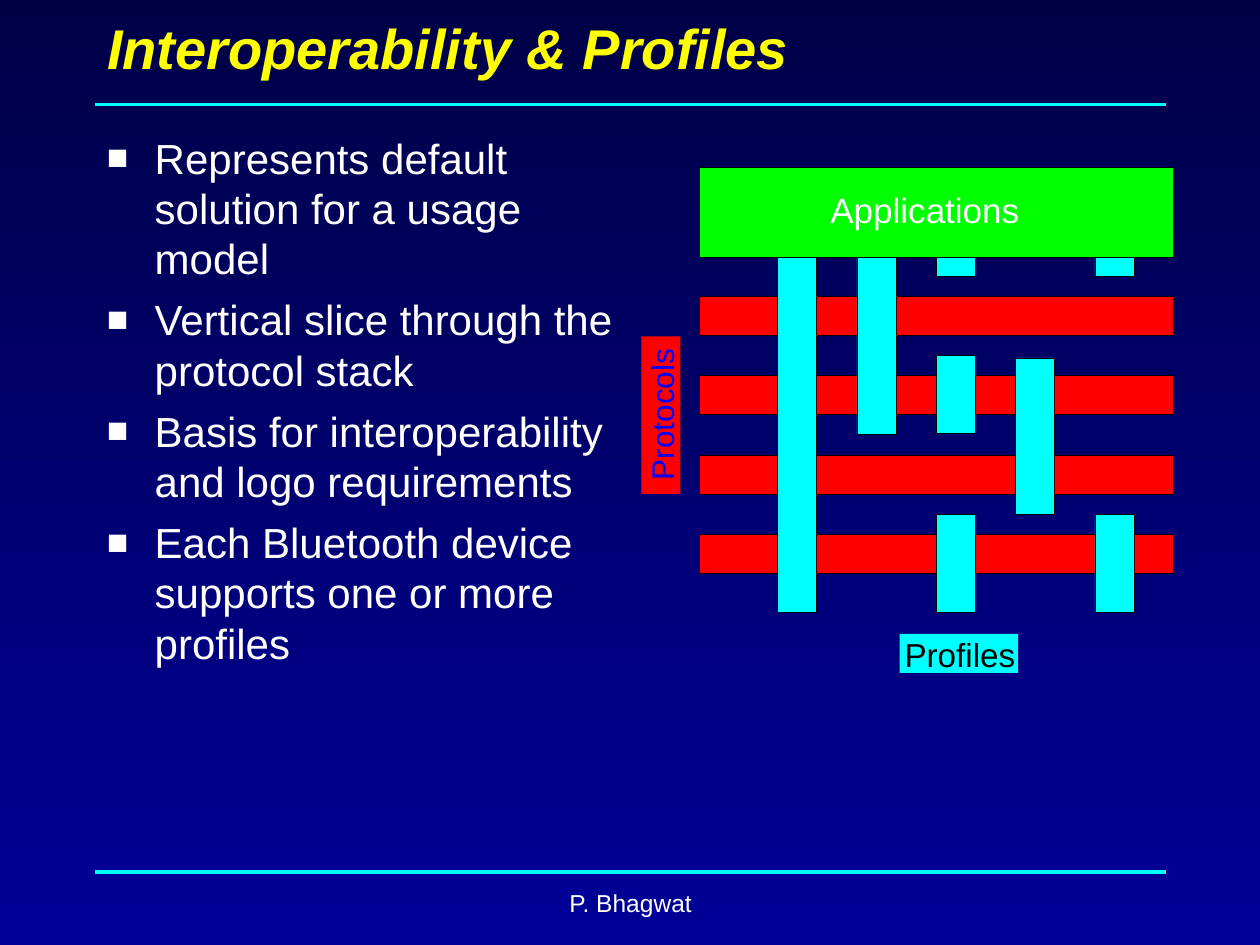
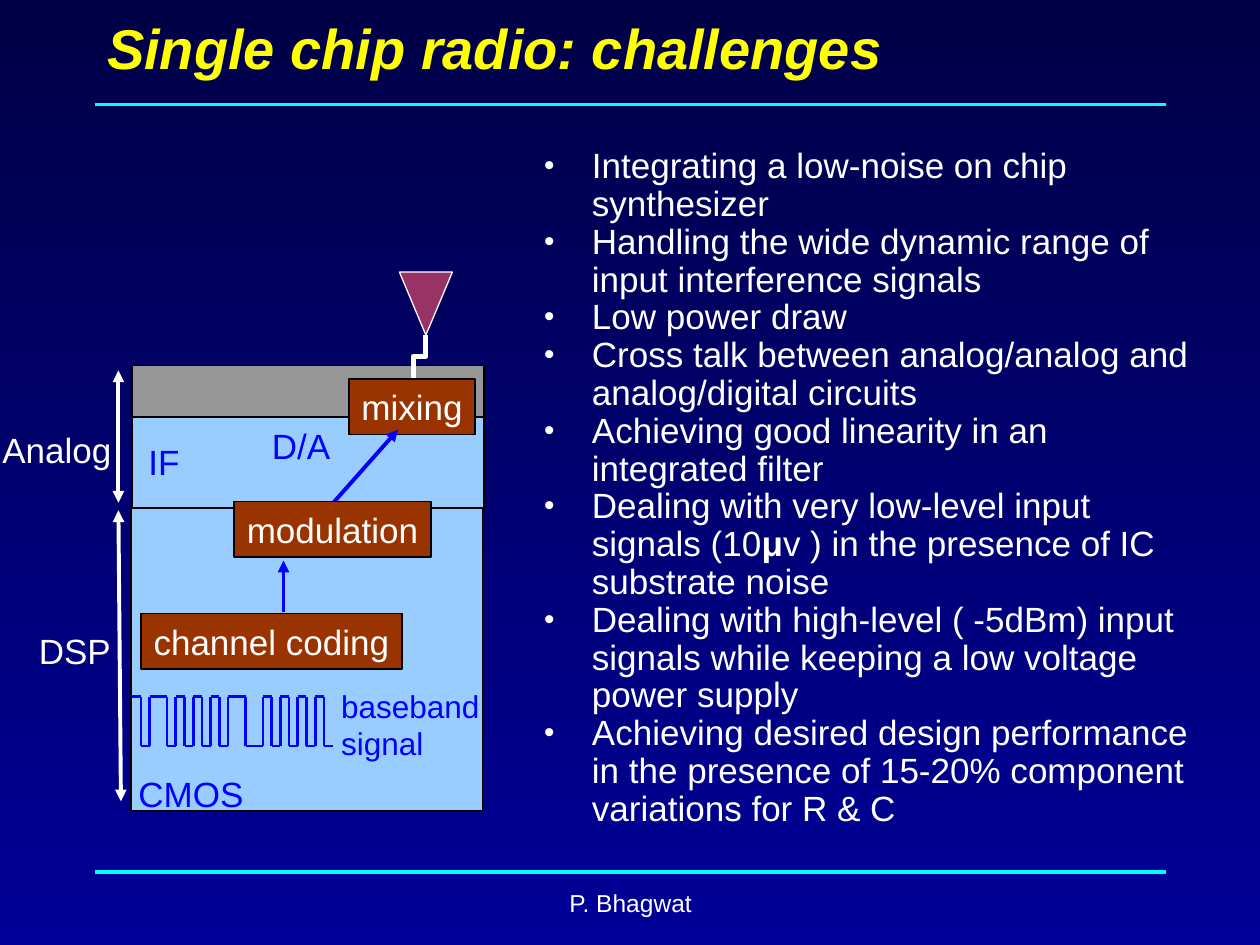
import pptx
import pptx.util
import pptx.dml.color
import pptx.enum.shapes
import pptx.enum.text
from lxml import etree

Inches, Pt = pptx.util.Inches, pptx.util.Pt
RGB = pptx.dml.color.RGBColor
SHAPE = pptx.enum.shapes.MSO_SHAPE
WIRE = pptx.enum.shapes.MSO_CONNECTOR
ALIGN = pptx.enum.text.PP_ALIGN
MIDDLE = pptx.enum.text.MSO_ANCHOR.MIDDLE
FIT = pptx.enum.text.MSO_AUTO_SIZE
NS = "{http://schemas.openxmlformats.org/drawingml/2006/main}"

FONT = "Arial"
NAVY = RGB(0x00, 0x00, 0x46)
ROYAL = RGB(0x00, 0x00, 0x99)
WHITE = RGB(0xFF, 0xFF, 0xFF)
BLACK = RGB(0x00, 0x00, 0x00)
YELLOW = RGB(0xFF, 0xFF, 0x00)
CYAN = RGB(0x00, 0xFF, 0xFF)
RED = RGB(0xFF, 0x00, 0x00)
GREEN = RGB(0x00, 0xFF, 0x00)
BLUE = RGB(0x00, 0x00, 0xFF)
SKY = RGB(0x99, 0xCC, 0xFF)
GRAY = RGB(0x96, 0x96, 0x96)
BROWN = RGB(0x99, 0x33, 0x00)
PLUM = RGB(0x99, 0x33, 0x66)


def box(slide, at, text="", size=20, tone=WHITE, fill=None, edge=None,
        thick=1, kind=SHAPE.RECTANGLE, inset=0.1, wrap=False, align=ALIGN.LEFT):
    """Add a filled shape, or a plain text box when there is no fill."""
    place = [Inches(n) for n in at]
    if fill is None:
        shape = slide.shapes.add_textbox(*place)
    else:
        shape = slide.shapes.add_shape(kind, *place)
        shape.shadow.inherit = False
        shape.fill.solid()
        shape.fill.fore_color.rgb = fill
        if edge is None:
            shape.line.fill.background()
        else:
            shape.line.color.rgb = edge
            shape.line.width = Pt(thick)
    if text:
        frame = shape.text_frame
        frame.word_wrap = wrap
        frame.auto_size = FIT.NONE
        if fill is not None:
            frame.vertical_anchor = MIDDLE
        # Tight labels get spare room on the side away from the text
        frame.margin_left = Inches(0 if align == ALIGN.CENTER else inset)
        frame.margin_right = 0
        frame.margin_top = frame.margin_bottom = Inches(inset / 2)
        for i, words in enumerate(text.split("\n")):
            para = frame.add_paragraph() if i else frame.paragraphs[0]
            para.alignment = align
            run = para.add_run()
            run.text = words
            run.font.name, run.font.size = FONT, Pt(size)
            run.font.color.rgb = tone
    return shape


def line(slide, ends, tone, thick, heads=(), kind=WIRE.STRAIGHT):
    """Add a connector; heads lists the ends that carry an arrowhead."""
    wire = slide.shapes.add_connector(kind, *[Inches(n) for n in ends])
    wire.line.color.rgb = tone
    wire.line.width = Pt(thick)
    pen = wire.line._get_or_add_ln()
    for head in heads:
        etree.SubElement(pen, NS + head, type="triangle")
    etree.SubElement(wire._element.spPr, NS + "effectLst")
    return wire


deck = pptx.Presentation()
deck.slide_width, deck.slide_height = Inches(10), Inches(7.5)

# Shared background
back = deck.slide_master.background.fill
back.gradient()
back.gradient_angle = 270
for stop, tone, spot in zip(back.gradient_stops, (NAVY, ROYAL), (0, 1)):
    stop.color.rgb = tone
    stop.position = spot

# Shared title, rules and footer
slides = []
for words in ("Interoperability & Profiles", "Single chip radio: challenges"):
    slide = deck.slides.add_slide(deck.slide_layouts[5])
    slides.append(slide)
    title = slide.shapes.title
    title.left, title.top = Inches(0.75), Inches(0)
    title.width, title.height = Inches(8.5), Inches(0.75)
    frame = title.text_frame
    frame.auto_size = FIT.NONE
    frame.vertical_anchor = MIDDLE
    para = frame.paragraphs[0]
    para.alignment = ALIGN.LEFT
    run = para.add_run()
    run.text = words
    run.font.name, run.font.size = FONT, Pt(32)
    run.font.bold = run.font.italic = True
    run.font.color.rgb = YELLOW
    for y in (0.83, 6.92):
        line(slide, (0.75, y, 9.25, y), CYAN, 2)
    box(slide, (3.42, 7, 3.17, 0.5), "P. Bhagwat", 14, wrap=True, align=ALIGN.CENTER)
stack, radio = slides

# Bulleted lists: each item is a list of runs, every second run bold
uses = [
    ["Represents default solution for a usage model"],
    ["Vertical slice through the protocol stack"],
    ["Basis for interoperability and logo requirements"],
    ["Each Bluetooth device supports one or more profiles"],
]
hurdles = [
    ["Integrating a low-noise on chip synthesizer"],
    ["Handling the wide dynamic range of input interference signals"],
    ["Low power draw"],
    ["Cross talk between analog/analog and analog/digital circuits"],
    ["Achieving good linearity in an integrated filter"],
    ["Dealing with very low-level input signals (10", "μ",
     "v ) in the presence of IC substrate noise"],
    ["Dealing with high-level ( -5dBm) input signals while keeping a low voltage power supply"],
    ["Achieving desired design performance in the presence of 15-20% component "
     "variations for R & C"],
]
for slide, at, items, mark, size, gap, pitch in (
    (stack, (0.75, 1, 4.33, 5.83), uses, "■", 24, 6, 1.0),
    (radio, (4.22, 1.13, 5.36, 5.83), hurdles, "•", 20, 0, 0.9),
):
    frame = box(slide, at).text_frame
    frame.word_wrap = True
    for i, item in enumerate(items):
        para = frame.add_paragraph() if i else frame.paragraphs[0]
        para.line_spacing = pitch
        para.space_before = Pt(gap if i else 0)
        props = para._p.get_or_add_pPr()
        props.set("marL", str(Inches(0.38)))
        props.set("indent", str(-Inches(0.38)))
        hue = etree.SubElement(props, NS + "buClr")
        etree.SubElement(hue, NS + "srgbClr", val=str(WHITE))
        etree.SubElement(props, NS + "buSzPct", val="85000")
        etree.SubElement(props, NS + "buFont", typeface=FONT)
        etree.SubElement(props, NS + "buChar", char=mark)
        for j, words in enumerate(item):
            run = para.add_run()
            run.text = words
            run.font.name, run.font.size = FONT, Pt(size)
            run.font.bold = j % 2 == 1
            run.font.color.rgb = WHITE

# Slide 1: protocol layers, crossed by profile columns
for i in range(4):
    box(stack, (5.55, 2.35 + 0.63 * i, 3.76, 0.31), fill=RED, edge=BLACK, thick=0.25)
for col, top, tall in (
    (0, 1.41, 3.45), (1, 1.41, 2.04), (2, 1.41, 0.78), (2, 2.82, 0.62),
    (2, 4.08, 0.78), (3, 2.84, 1.24), (4, 1.41, 0.78), (4, 4.08, 0.78),
):
    box(stack, (6.17 + 0.63 * col, top, 0.31, tall), fill=CYAN, edge=BLACK, thick=0.25)
box(stack, (5.55, 1.33, 3.76, 0.71), fill=GREEN, edge=BLACK, thick=0.25)
box(stack, (6.59, 1.5, 1.68, 0.33), "Applications", inset=0, wrap=True)

# Slide 1: axis labels
box(stack, (7.14, 5.03, 0.94, 0.31), fill=CYAN)
box(stack, (7.18, 5.03, 0.9, 0.32), "Profiles", 19, BLACK, inset=0, wrap=True)
box(stack, (5.09, 2.67, 0.31, 1.25), fill=RED)
label = box(stack, (4.69, 3.1, 1.12, 0.3), "Protocols", 18, BLUE, inset=0, wrap=True)
label.rotation = 270

# Slide 2: chip layers
for at, fill in (
    ((1.05, 3.31, 2.79, 0.73), SKY),
    ((1.05, 2.9, 2.79, 0.41), GRAY),
    ((1.04, 4.03, 2.79, 2.41), SKY),
):
    box(radio, at, fill=fill, edge=BLACK)

# Slide 2: baseband pulse train, one step per bit, an edge where the bit flips
bits = "10110101010110010101010"
high, low = 5.53, 5.92
step = 1.59 / len(bits)
for i, bit in enumerate(bits):
    x = 1.05 + step * i
    y = high if bit == "1" else low
    line(radio, (x, y, x + step, y), BLUE, 1.5)
    if i and bit != bits[i - 1]:
        line(radio, (x, high, x, low), BLUE, 1.5)

# Slide 2: processing blocks and signal flow
block = dict(fill=BROWN, edge=BLACK, align=ALIGN.CENTER, wrap=True)
box(radio, (1.12, 4.87, 2.07, 0.44), "channel coding", **block)
box(radio, (2.77, 3.01, 1, 0.44), "mixing", **block)
for ends in ((2.61, 4.03, 3.16, 3.41), (2.25, 4.86, 2.25, 4.45)):
    line(radio, ends, BLUE, 2.25, ["tailEnd"])
box(radio, (1.86, 3.98, 1.56, 0.44), "modulation", **block)

# Slide 2: antenna and its feed, an elbow turned upright
box(radio, (3.17, 2.16, 0.42, 0.5), fill=PLUM, edge=WHITE, thick=0.75,
    kind=SHAPE.FLOWCHART_MERGE)
feed = line(radio, (3.5, 2.88, 3.16, 2.78), WHITE, 3, kind=WIRE.ELBOW)
feed._element.spPr.xfrm.set("rot", "5400000")

# Slide 2: labels and extents
for at, words, size, tone in (
    ((2.06, 3.32, 0.66, 0.44), "D/A", 20, BLUE),
    ((2.61, 5.4, 1.3, 0.7), "baseband\nsignal", 18, BLUE),
    ((1.08, 3.45, 0.44, 0.44), "IF", 20, BLUE),
    ((1, 6.08, 1.03, 0.44), "CMOS", 20, BLUE),
    ((0.21, 4.95, 0.77, 0.44), "DSP", 20, WHITE),
    ((-0.08, 3.35, 1.06, 0.44), "Analog", 20, WHITE),
):
    box(radio, at, words, size, tone, wrap=True)
for ends in ((0.94, 4.05, 0.96, 6.36), (0.94, 2.94, 0.94, 3.99)):
    line(radio, ends, WHITE, 2.25, ["headEnd", "tailEnd"])

deck.save("out.pptx")
